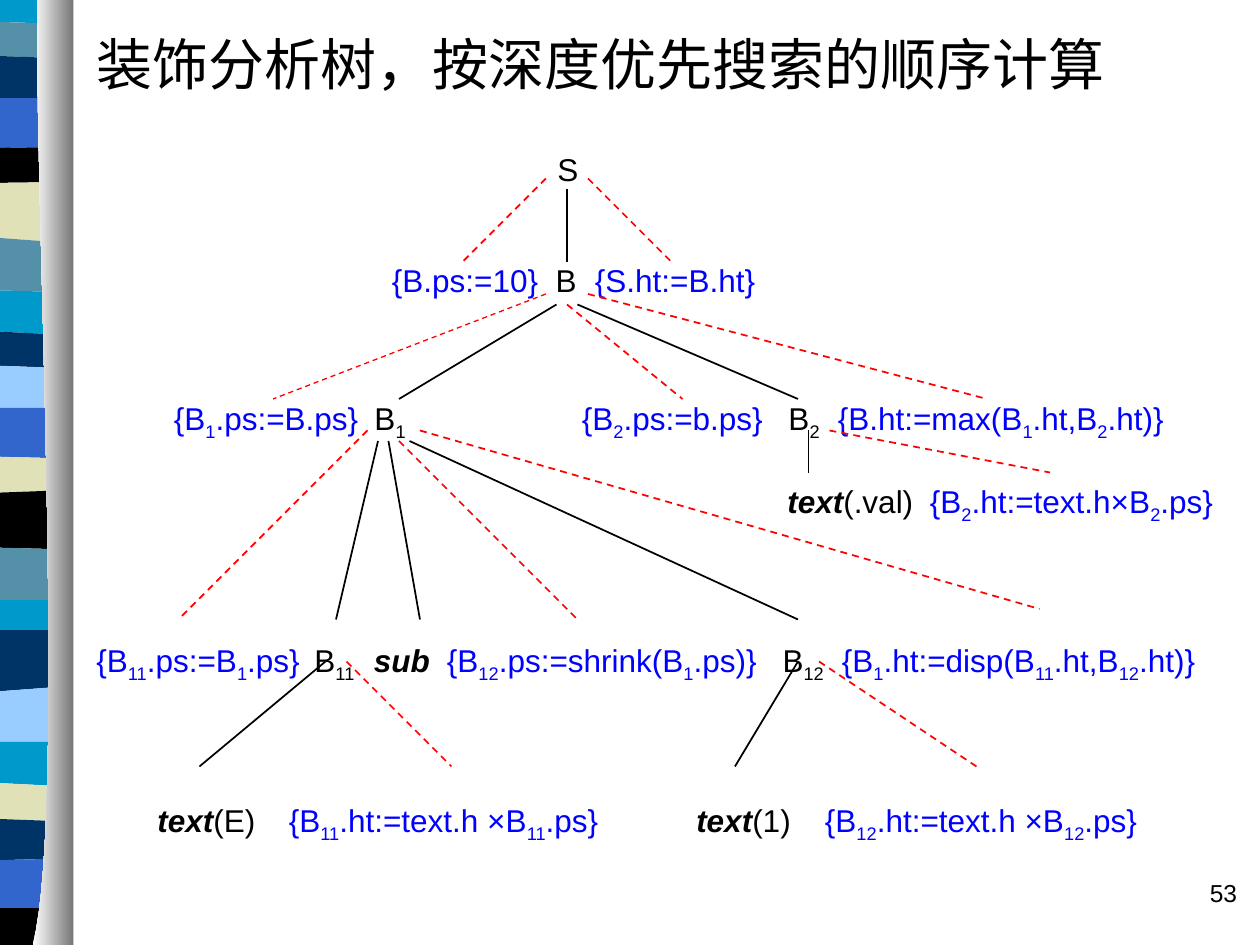
from lxml.etree import SubElement
from pptx import Presentation
from pptx.dml.color import RGBColor
from pptx.enum.dml import MSO_LINE_DASH_STYLE as DASH
from pptx.enum.shapes import MSO_CONNECTOR as CONNECTOR
from pptx.enum.text import MSO_ANCHOR as ANCHOR, MSO_AUTO_SIZE as AUTO_SIZE, PP_ALIGN as ALIGN
from pptx.oxml.ns import qn
from pptx.util import Pt

BLACK = RGBColor(0x00, 0x00, 0x00)
WHITE = RGBColor(0xFF, 0xFF, 0xFF)
GREY = RGBColor(0x76, 0x76, 0x76)
RULE_BLUE = RGBColor(0x00, 0x00, 0xFF)
RED = RGBColor(0xFF, 0x00, 0x00)
TEAL = RGBColor(0x00, 0x99, 0xCC)
STEEL = RGBColor(0x54, 0x90, 0xA8)
NAVY = RGBColor(0x00, 0x33, 0x66)
ROYAL = RGBColor(0x33, 0x66, 0xCC)
KHAKI = RGBColor(0xE1, 0xE1, 0xB7)
SKY = RGBColor(0x99, 0xCC, 0xFF)

prs = Presentation()
prs.slide_width, prs.slide_height = Pt(720), Pt(540)
slide = prs.slides.add_slide(prs.slide_layouts[5])
shapes = slide.shapes


def add_outline(points):
    """Add a closed, borderless polygon through points given in points."""
    corners = [(Pt(x), Pt(y)) for x, y in points]
    builder = shapes.build_freeform(*corners[0])
    builder.add_line_segments(corners[1:], close=True)
    polygon = builder.convert_to_shape()
    polygon.shadow.inherit = False
    polygon.line.fill.background()
    return polygon


def add_edge(ends, color, width=1, dash=None):
    edge = shapes.add_connector(CONNECTOR.STRAIGHT, *[Pt(v) for v in ends])
    edge.line.color.rgb = color
    edge.line.width = Pt(width)
    if dash:
        edge.line.dash_style = dash
    SubElement(edge._element.spPr, qn("a:effectLst"))


# Striped border: colour, then height of the top edge at the left and right
STRIPE_WIDTH = 40
stripes = [
    (TEAL, 0, 0), (STEEL, 12.5, 14), (NAVY, 32, 33.5), (ROYAL, 56, 56),
    (BLACK, 84.5, 84), (KHAKI, 104.5, 104), (STEEL, 136, 139), (TEAL, 166, 167),
    (NAVY, 189.5, 191.5), (SKY, 209, 210.5), (ROYAL, 233, 233), (KHAKI, 261, 262),
    (BLACK, 281.5, 280), (STEEL, 313, 314), (TEAL, 343, 343), (NAVY, 360, 360),
    (SKY, 395, 392), (TEAL, 424, 424), (KHAKI, 447.5, 449.5), (NAVY, 468, 469.5),
    (ROYAL, 491.5, 490.5), (BLACK, 519, 519),
]
lower_edges = [stripe[1:] for stripe in stripes[1:]] + [(540, 540)]
for (color, left, right), (next_left, next_right) in zip(stripes, lower_edges):
    stripe = add_outline([(0, left), (STRIPE_WIDTH, right),
                          (STRIPE_WIDTH, next_right), (0, next_left)])
    stripe.fill.solid()
    stripe.fill.fore_color.rgb = color

# Shaded page edge, its left side a Bezier curve
curve = [(21.6, 0), (18.7, 90), (38.9, 465.8), (18.7, 540)]
STEPS = 30
page_side = []
for step in range(STEPS + 1):
    t = step / STEPS
    weights = ((1 - t) ** 3, 3 * t * (1 - t) ** 2, 3 * t ** 2 * (1 - t), t ** 3)
    page_side.append([sum(w * point[axis] for w, point in zip(weights, curve))
                      for axis in (0, 1)])
page_edge = add_outline(page_side + [(42, 540), (42, 0)])
page_edge.fill.gradient()
page_edge.fill.gradient_angle = 0
for stop, color in zip(page_edge.fill.gradient_stops, (WHITE, GREY)):
    stop.color.rgb = color

# Title
title = shapes.title
title.left, title.top, title.width, title.height = Pt(48), Pt(12), Pt(657), Pt(48)
title.text_frame.text = "装饰分析树，按深度优先搜索的顺序计算"
title.text_frame.auto_size = AUTO_SIZE.NONE
title.text_frame.vertical_anchor = ANCHOR.MIDDLE
heading = title.text_frame.paragraphs[0]
heading.alignment = ALIGN.LEFT
heading.runs[0].font.size = Pt(32)
heading.runs[0].font.name = "Times New Roman"
heading.runs[0].font.color.rgb = BLACK

# Tree rows: space before, then (tab position, label); | switches subscript on and off
tree_rows = [
    (0, [(263.4, "S")]),
    (41.4, [(168.9, "{B.ps:=10}"), (262.4, "B"), (284.9, "{S.ht:=B.ht}")]),
    (57.4, [(44.3, "{B|1|.ps:=B.ps}"), (158.9, "B|1"), (277.4, "{B|2|.ps:=b.ps}"),
            (395.5, "B|2"), (423.7, "{B.ht:=max(B|1|.ht,B|2|.ht)}")]),
    (23, [(394.8, "text||(.val)"), (476.3, "{B|2|.ht:=text.h×B|2|.ps}")]),
    (66, [(0, "{B|11|.ps:=B|1|.ps}"), (124.6, "B|11"), (158.6, "sub"),
          (200.3, "{B|12|.ps:=shrink(B|1|.ps)}"), (392.1, "B|12"),
          (426, "{B|1|.ht:=disp(B|11|.ht,B|12|.ht)}")]),
    (67, [(34.8, "text||(E)"), (110, "{B|11|.ht:=text.h ×B|11|.ps}"),
          (342.8, "text||(1)"), (416.3, "{B|12|.ht:=text.h ×B|12|.ps}")]),
]
tree_text = shapes.add_textbox(Pt(48), Pt(72), Pt(660), Pt(426)).text_frame
tree_text.word_wrap = True
tree_text.margin_top = Pt(14)
for row_number, (space, labels) in enumerate(tree_rows):
    row = tree_text.add_paragraph() if row_number else tree_text.paragraphs[0]
    tabs = SubElement(row._p.get_or_add_pPr(), qn("a:tabLst"))
    row.space_before = Pt(space)
    row.font.size = Pt(18)
    for position, label in labels:
        if position:
            SubElement(tabs, qn("a:tab"), pos=str(Pt(position)), algn="l")
        for part, piece in enumerate(label.split("|")):
            if not piece:
                continue
            run = row.add_run()
            run.text = "\t" + piece if position and part == 0 else piece
            run.font.size = Pt(18)
            run.font.name = "Arial"
            run.font.color.rgb = RULE_BLUE if label.startswith("{") else BLACK
            if piece in ("text", "sub"):
                run.font.bold = run.font.italic = True
            if part % 2:
                run._r.get_or_add_rPr().set("baseline", "-25000")

# Tree branches
branches = [
    (324, 108, 324, 150), (318, 174, 228, 228), (330, 174, 456, 228),
    (462, 246, 462, 270), (216, 252, 192, 354), (222, 252, 240, 354),
    (234, 252, 456, 354), (186, 378, 114, 438), (456, 378, 420, 438),
]
for ends in branches:
    add_edge(ends, BLACK)

# Links from symbols to their semantic rules
rule_links = [
    (312, 102, 264, 150), (336, 102, 384, 150), (324, 174, 390, 228),
    (336, 168, 564, 228), (474, 246, 600, 270), (210, 246, 102, 354),
    (228, 252, 330, 354), (240, 246, 594, 348), (198, 378, 258, 438),
    (468, 378, 558, 438),
]
for ends in rule_links:
    add_edge(ends, RED, dash=DASH.DASH)
add_edge((312, 168, 156, 228), RED, width=0.75, dash=DASH.DASH)

# Page number
page_number = shapes.add_textbox(Pt(564), Pt(498), Pt(150), Pt(36)).text_frame
page_number.word_wrap = True
page_number.text = "53"
number_line = page_number.paragraphs[0]
number_line.alignment = ALIGN.RIGHT
number_line.runs[0].font.size = Pt(14)
number_line.runs[0].font.name = "Arial"
number_line.runs[0].font.color.rgb = BLACK

prs.save("out.pptx")
